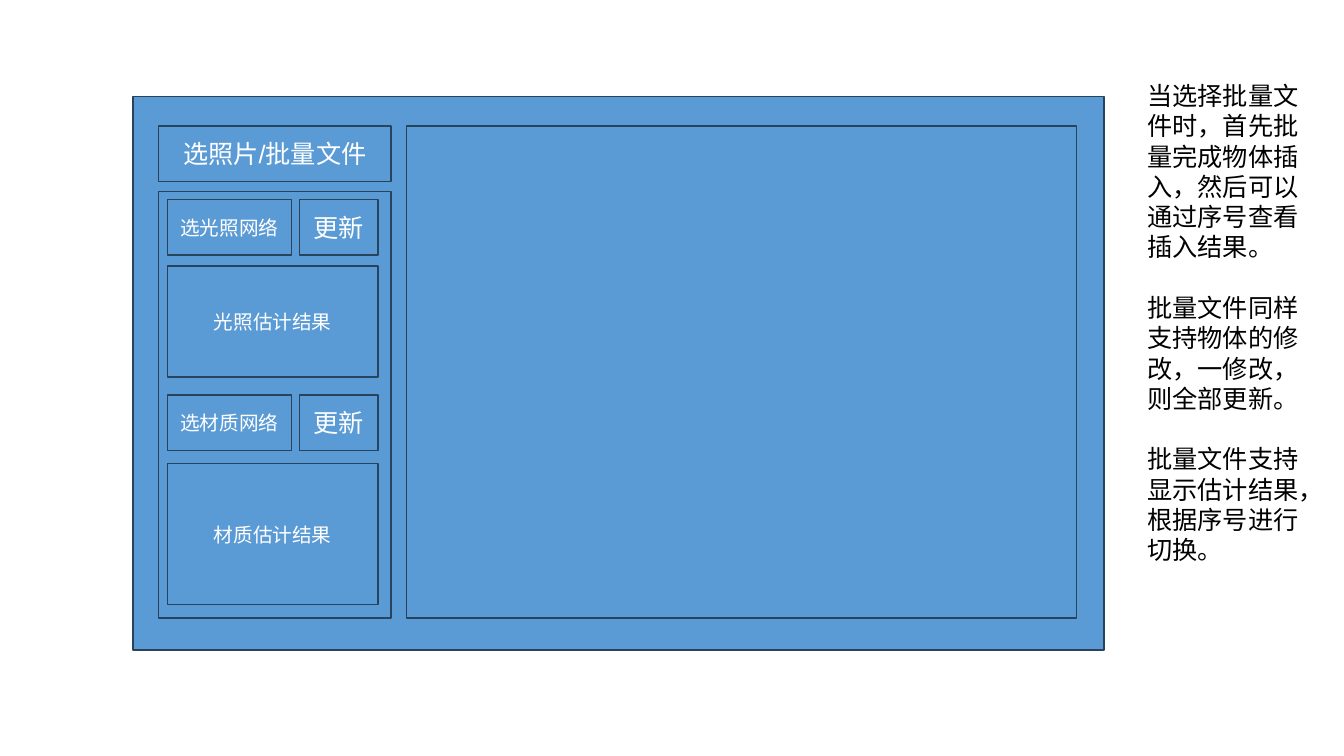
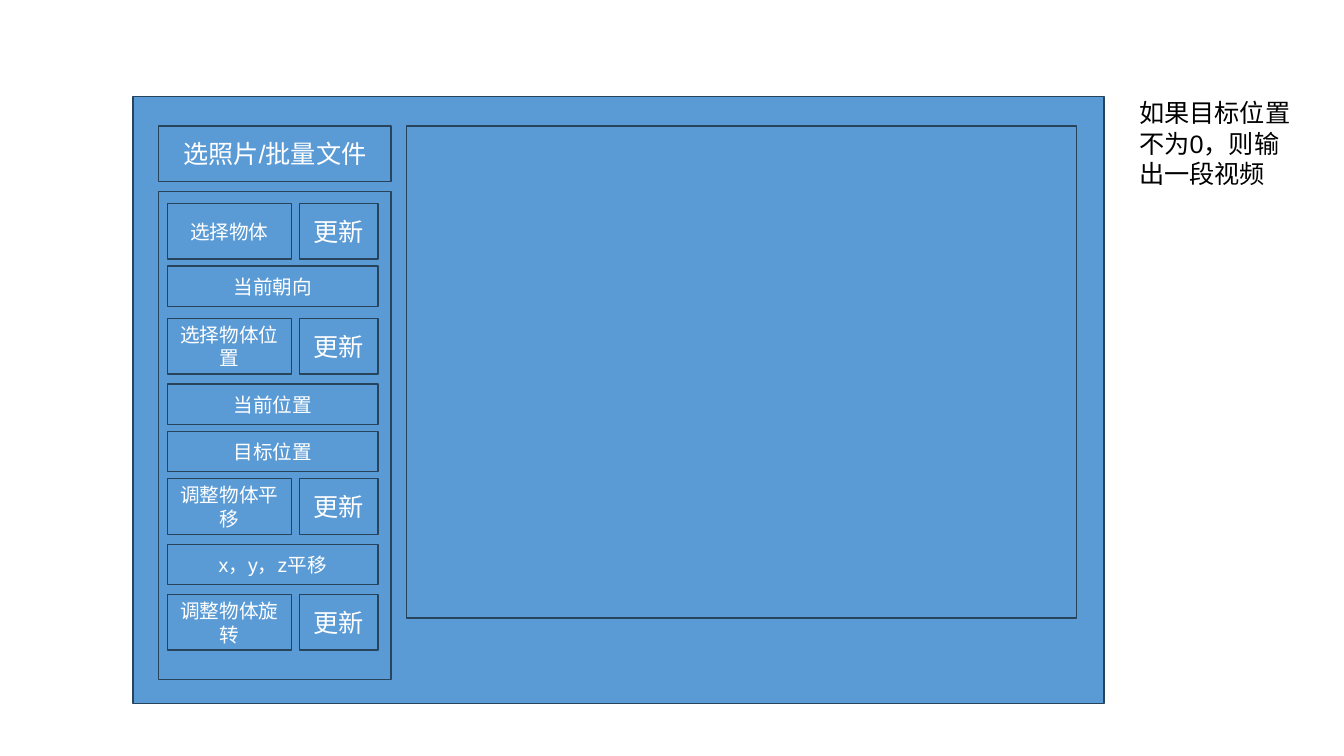
from dataclasses import dataclass

from pptx import Presentation
from pptx.dml.color import RGBColor
from pptx.enum.shapes import MSO_SHAPE as Preset
from pptx.enum.text import MSO_ANCHOR as Anchor, MSO_AUTO_SIZE as AutoSize, PP_ALIGN as Align
from pptx.util import Inches, Pt

CELL = Inches(0.01)
COLUMNS, ROWS = 1333, 750


@dataclass(frozen=True)
class Theme:
    """Colours, font and type sizes of the deck."""
    panel: RGBColor = RGBColor.from_string("5B9BD5")
    outline: RGBColor = RGBColor.from_string("28445D")
    label: RGBColor = RGBColor.from_string("FFFFFF")
    note: RGBColor = RGBColor.from_string("000000")
    font: str = "Arial"
    large: Pt = Pt(18)
    small: Pt = Pt(14)
    line: Pt = Pt(1)
    note_gap: Pt = Pt(21.75)


@dataclass(frozen=True)
class Box:
    """A rectangle measured in grid cells."""
    left: int
    top: int
    width: int
    height: int

    def inner(self, left, top, width, height):
        """Return a box placed relative to this one."""
        return Box(self.left + left, self.top + top, width, height)

    def lengths(self):
        """Return the box as slide lengths."""
        return [cells * CELL for cells in (self.left, self.top, self.width, self.height)]


@dataclass(frozen=True)
class Control:
    """One sidebar row; a picker has an update button beside it."""
    label: str
    top: int
    height: int = 40
    picker: bool = False


THEME = Theme()
BUTTON_HEIGHT = 55


def picker(label, top):
    """Return a row with a selection button and an update button."""
    return Control(label, top, BUTTON_HEIGHT, True)


def style_text(para, size, colour):
    """Format every run of a paragraph."""
    for span in para.runs:
        span.font.name = THEME.font
        span.font.size = size
        span.font.color.rgb = colour


def draw_panel(page, box, label="", size=THEME.large):
    """Draw an outlined rectangle with an optional centred label."""
    panel = page.shapes.add_shape(Preset.RECTANGLE, *box.lengths())
    panel.shadow.inherit = False
    panel.fill.solid()
    panel.fill.fore_color.rgb = THEME.panel
    panel.line.color.rgb = THEME.outline
    panel.line.width = THEME.line
    if label:
        frame = panel.text_frame
        frame.word_wrap = True
        frame.vertical_anchor = Anchor.MIDDLE
        frame.text = label
        para = frame.paragraphs[0]
        para.alignment = Align.CENTER
        style_text(para, size, THEME.label)


def draw_control(page, sidebar, control):
    """Draw one row of the sidebar."""
    inset, gap, update_width = 9, 8, 78
    row = sidebar.inner(inset, control.top, 209, control.height)
    main_width = row.width
    if control.picker:
        main_width -= update_width + gap
        update = row.inner(main_width + gap, 0, update_width, row.height)
        draw_panel(page, update, "更新")
    draw_panel(page, row.inner(0, 0, main_width, row.height), control.label, THEME.small)


def draw_window(page, box, sidebar_height, controls):
    """Draw the application window with its header, sidebar and view."""
    header = box.inner(25, 29, 231, BUTTON_HEIGHT)
    sidebar = header.inner(0, header.height + 10, header.width, sidebar_height)
    view = header.inner(header.width + 15, 0, 665, 488)
    for panel in (box, sidebar, view):
        draw_panel(page, panel)
    draw_panel(page, header, "选照片/批量文件")
    for control in controls:
        draw_control(page, sidebar, control)


def draw_note(page, box, lines):
    """Write the remarks beside the window."""
    note = page.shapes.add_textbox(*box.lengths())
    frame = note.text_frame
    frame.word_wrap = True
    frame.auto_size = AutoSize.SHAPE_TO_FIT_TEXT
    frame.text = "\n".join(lines)
    for index, para in enumerate(frame.paragraphs):
        if index:
            para.space_before = THEME.note_gap
        style_text(para, THEME.large, THEME.note)


def add_mockup(deck, window_height, sidebar_height, controls, note_box, lines):
    """Add one slide with a window sketch and its remarks."""
    page = deck.slides.add_slide(deck.slide_layouts[6])
    draw_window(page, Box(132, 96, 963, window_height), sidebar_height, controls)
    draw_note(page, note_box, lines)


def main():
    """Build and save the deck."""
    deck = Presentation()
    deck.slide_width, deck.slide_height = COLUMNS * CELL, ROWS * CELL
    add_mockup(
        deck, 549, 423,
        [
            picker("选光照网络", 8),
            Control("光照估计结果", 74, 110),
            picker("选材质网络", 202),
            Control("材质估计结果", 270, 140),
        ],
        Box(1128, 75, 172, 493),
        [
            "当选择批量文件时，首先批量完成物体插入，然后可以通过序号查看插入结果。",
            "批量文件同样支持物体的修改，一修改，则全部更新。",
            "批量文件支持显示估计结果，根据序号进行切换。",
        ],
    )
    add_mockup(
        deck, 602, 484,
        [
            picker("选择物体", 12),
            Control("当前朝向", 74),
            picker("选择物体位置", 126),
            Control("当前位置", 191),
            Control("目标位置", 238),
            picker("调整物体平移", 285),
            Control("x，y，z平移", 350),
            picker("调整物体旋转", 400),
        ],
        Box(1120, 92, 172, 101),
        ["如果目标位置不为0，则输出一段视频"],
    )
    deck.save("out.pptx")


if __name__ == "__main__":
    main()
